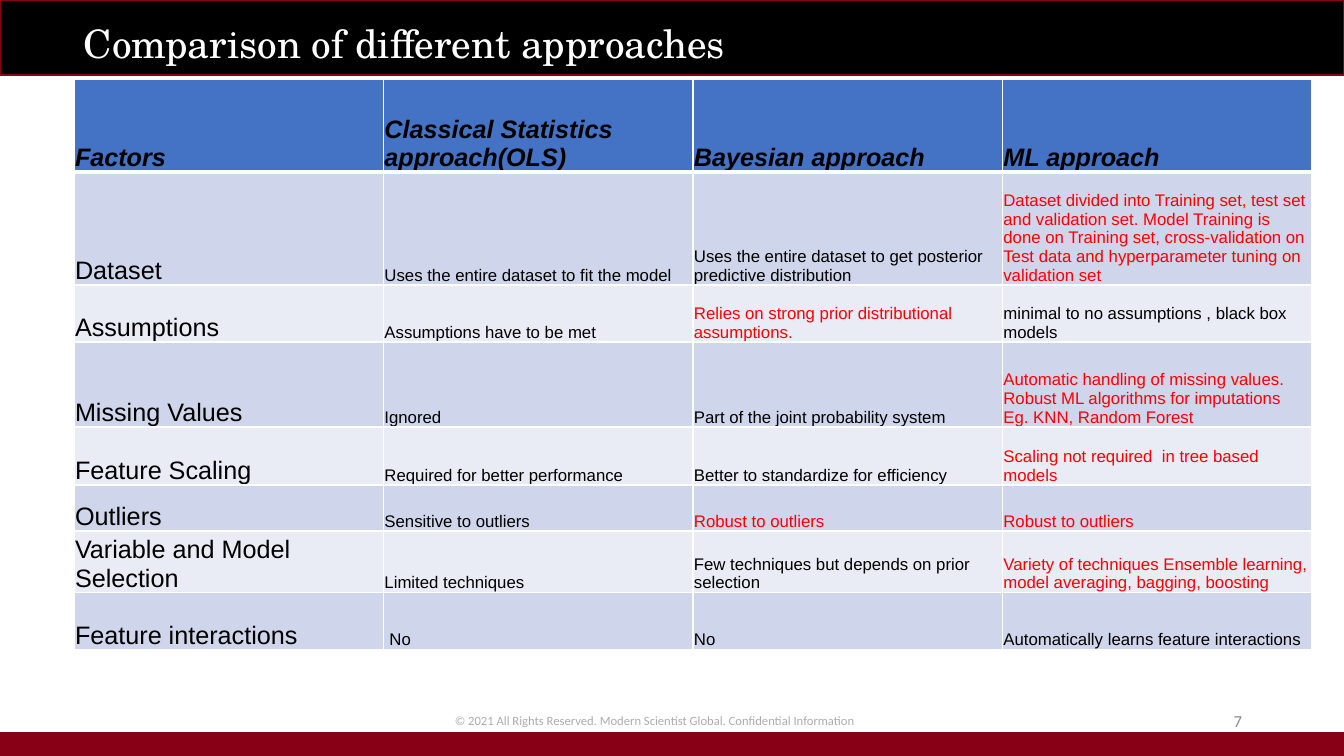
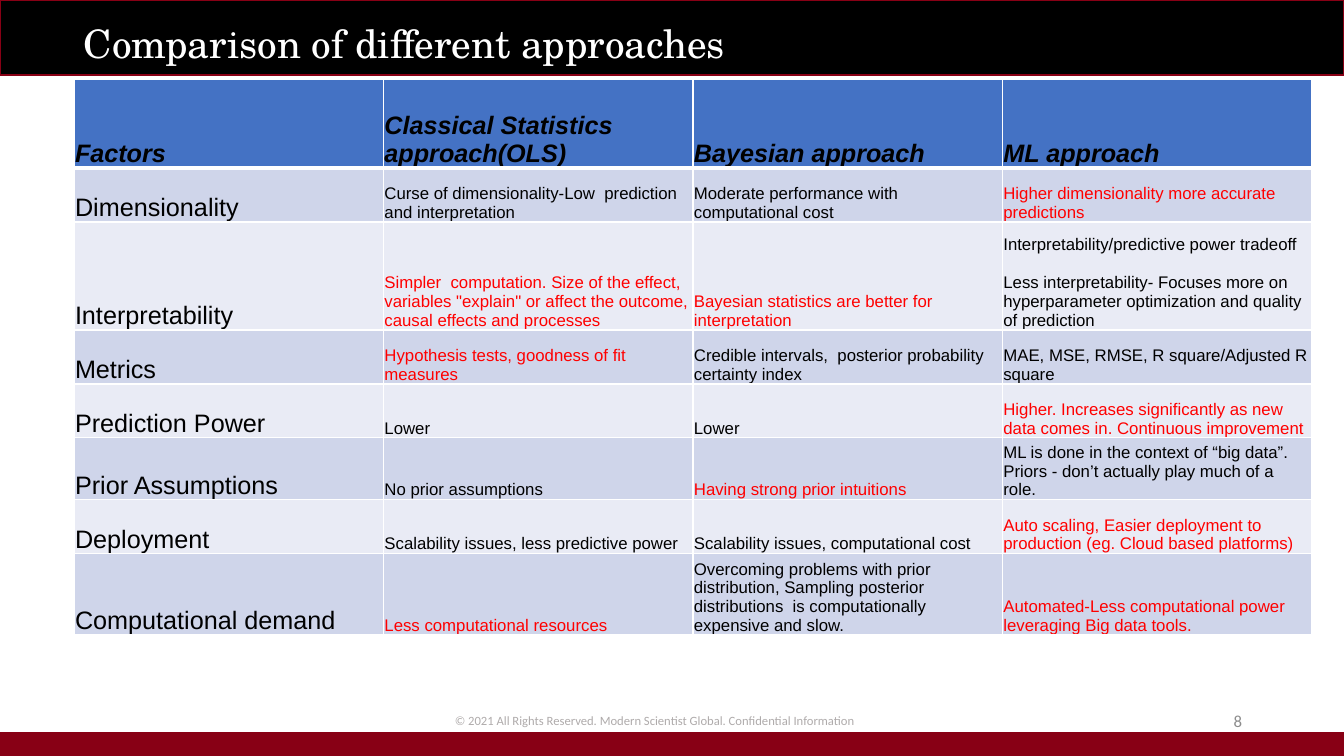
import pptx
import pptx.dml.color
import pptx.enum.shapes
import pptx.enum.text
import pptx.oxml
import pptx.oxml.ns
import pptx.util

RGBColor = pptx.dml.color.RGBColor
Pt = pptx.util.Pt
PP_ALIGN = pptx.enum.text.PP_ALIGN
ANCHOR = pptx.enum.text.MSO_ANCHOR

MAROON = RGBColor(0x88, 0x00, 0x15)
BLACK = RGBColor(0, 0, 0)
WHITE = RGBColor(0xFF, 0xFF, 0xFF)
RED = RGBColor(0xFF, 0, 0)
FOOTER_GREY = RGBColor(0xAF, 0xAB, 0xAB)
NUMBER_GREY = RGBColor(0x8C, 0x8C, 0x8C)
HEADER_BLUE = RGBColor(0x44, 0x72, 0xC4)
BANDS = (RGBColor(0xCF, 0xD5, 0xEA), RGBColor(0xE9, 0xEB, 0xF5))

WIDTH, HEIGHT = 1344, 756
EMU_PER_PX = 12192000 / WIDTH

TITLE = "Comparison of different approaches"
COPYRIGHT = "© 2021 All Rights Reserved. Modern Scientist Global. Confidential Information"
HEADINGS = ("Factors", "Classical Statistics approach(OLS)", "Bayesian approach", "ML approach")

# A leading * marks a cell set in red.
DATA_ROWS = [
    ("Dataset", "Uses the entire dataset to fit the model",
     "Uses the entire dataset to get posterior predictive distribution",
     "*Dataset divided into Training set, test set and validation set. Model Training is done on "
     "Training set, cross-validation on Test data and hyperparameter tuning on validation set"),
    ("Assumptions", "Assumptions have to be met",
     "*Relies on strong prior distributional assumptions.",
     "minimal to no assumptions , black box models"),
    ("Missing Values", "Ignored", "Part of the joint probability system",
     "*Automatic handling of missing values. Robust ML algorithms for imputations\n"
     "Eg. KNN, Random Forest"),
    ("Feature Scaling", "Required for better performance",
     "Better to standardize for efficiency",
     "*Scaling not required  in tree based models"),
    ("Outliers", "Sensitive to outliers", "*Robust to outliers", "*Robust to outliers"),
    ("Variable and Model Selection", "Limited techniques",
     "Few techniques but depends on prior selection",
     "*Variety of techniques Ensemble learning, model averaging, bagging, boosting"),
    ("Feature interactions", "No", "No", "Automatically learns feature interactions"),
]
MODEL_ROWS = [
    ("Dimensionality", "Curse of dimensionality-Low  prediction and interpretation",
     "Moderate performance with computational cost",
     "*Higher dimensionality more accurate predictions"),
    ("Interpretability",
     "*Simpler  computation. Size of the effect, variables \"explain\" or affect the outcome, "
     "causal effects and processes",
     "*Bayesian statistics are better for interpretation",
     "Interpretability/predictive power tradeoff\n"
     "Less interpretability- Focuses more on hyperparameter optimization and quality of prediction"),
    ("Metrics", "*Hypothesis tests, goodness of fit measures",
     "Credible intervals,  posterior probability certainty index",
     "MAE, MSE, RMSE, R square/Adjusted R square"),
    ("Prediction Power", "Lower", "Lower",
     "*Higher. Increases significantly as new data comes in. Continuous improvement"),
    ("Prior Assumptions", "No prior assumptions", "*Having strong prior intuitions",
     "ML is done in the context of “big data”. Priors - don’t actually play much of a role."),
    ("Deployment", "Scalability issues, less predictive power",
     "Scalability issues, computational cost",
     "*Auto scaling, Easier deployment to production (eg. Cloud based platforms)"),
    ("Computational demand", "*Less computational resources",
     "Overcoming problems with prior distribution, Sampling posterior distributions  is "
     "computationally expensive and slow.",
     "*Automated-Less computational power leveraging Big data tools."),
]


def px(n):
    return pptx.util.Emu(round(n * EMU_PER_PX))


def set_borders(cell, **widths):
    """Draw white cell borders; widths are points keyed by side: L, R, T, B."""
    tc_pr = cell._tc.get_or_add_tcPr()
    for side, width in widths.items():
        tc_pr.append(pptx.oxml.parse_xml(
            f'<a:ln{side} {pptx.oxml.ns.nsdecls("a")} w="{Pt(width)}"><a:solidFill>'
            f'<a:srgbClr val="{WHITE}"/></a:solidFill></a:ln{side}>'))


class Deck:
    def __init__(self):
        self.prs = pptx.Presentation()
        self.prs.slide_width, self.prs.slide_height = px(WIDTH), px(HEIGHT)
        self.slide = None

    def start_slide(self, number):
        """Add a slide with the shared bands, title, footer and number."""
        self.slide = self.prs.slides.add_slide(self.prs.slide_layouts[6])
        self.band(733, 23, MAROON)
        self.band(0, 75, BLACK)
        self.text(COPYRIGHT, (445, 708, 454, 25), "Calibri", 9, FOOTER_GREY, ANCHOR.TOP)
        p = self.text(TITLE, (74, 8, 1159, 76), "TeX Gyre Schola", 28, WHITE)
        p.line_spacing = 0.9
        p = self.text(str(number), (950, 701, 302, 40), "Calibri", 12, NUMBER_GREY)
        p.alignment = PP_ALIGN.RIGHT

    def band(self, top, height, color):
        sp = self.slide.shapes.add_shape(
            pptx.enum.shapes.MSO_SHAPE.RECTANGLE, 0, px(top), px(WIDTH), px(height))
        sp.shadow.inherit = False
        sp.fill.solid()
        sp.fill.fore_color.rgb = color
        sp.line.color.rgb = MAROON
        sp.line.width = Pt(1)

    def text(self, text, box, font, size, color, anchor=ANCHOR.MIDDLE):
        tf = self.slide.shapes.add_textbox(*map(px, box)).text_frame
        tf.word_wrap = True
        tf.vertical_anchor = anchor
        tf.text = text
        self.format(tf, font, size, color)
        return tf.paragraphs[0]

    def format(self, tf, font, size, color, strong=False):
        for p in tf.paragraphs:
            for r in p.runs:
                r.font.name, r.font.size = font, Pt(size)
                r.font.color.rgb = color
                r.font.bold = r.font.italic = strong

    def table(self, rows, heights):
        rows = [HEADINGS, *rows]
        table = self.slide.shapes.add_table(
            len(rows), len(HEADINGS), px(74), px(79), px(1238), px(sum(heights))).table
        for row, height in zip(table.rows, heights):
            row.height = px(height)
        for i, row in enumerate(rows):
            for j, text in enumerate(row):
                self.cell(table.cell(i, j), text, i, j)
        return table

    def cell(self, cell, text, i, j):
        header = i == 0
        cell.margin_left = cell.margin_right = cell.margin_top = px(1)
        cell.margin_bottom = 0
        cell.vertical_anchor = ANCHOR.BOTTOM
        set_borders(cell, L=1, R=1, T=3 if i == 1 else 1, B=3 if header else 1)
        cell.fill.solid()
        cell.fill.fore_color.rgb = HEADER_BLUE if header else BANDS[(i - 1) % 2]
        cell.text_frame.text = text.removeprefix("*")
        self.format(cell.text_frame, "Arial", 18 if header or j == 0 else 12,
                    RED if text.startswith("*") else BLACK, strong=header)


def main():
    deck = Deck()
    deck.start_slide(7)
    table = deck.table(DATA_ROWS, (93, 113, 57, 85, 58, 46, 57, 57))
    table.cell(7, 1).margin_left = px(6)

    deck.start_slide(8)
    table = deck.table(MODEL_ROWS, (89, 54, 108, 54, 54, 54, 54, 54))
    table.cell(2, 3).text_frame.paragraphs[1].space_before = Pt(14)
    deck.prs.save("out.pptx")


if __name__ == "__main__":
    main()
